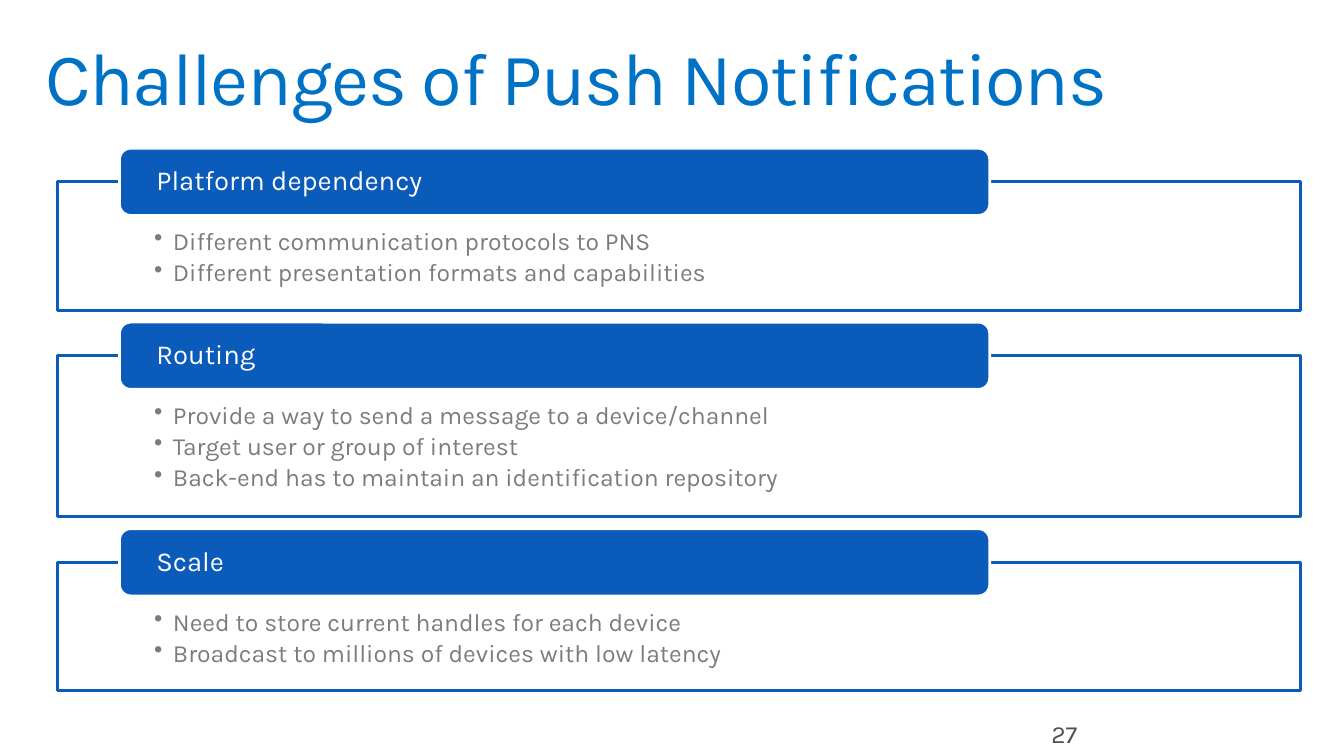
from pptx import Presentation
from pptx.dml.color import RGBColor
from pptx.enum.shapes import MSO_SHAPE
from pptx.enum.text import MSO_ANCHOR, PP_ALIGN
from pptx.oxml.ns import qn
from pptx.util import Inches, Pt
from lxml.etree import SubElement

# Content
TITLE = "Challenges of Push Notifications"
PAGE_NUMBER = "27"
CHALLENGES = [
    ("Platform dependency", [
        "Different communication protocols to PNS",
        "Different presentation formats and capabilities",
    ]),
    ("Routing", [
        "Provide a way to send a message to a device/channel",
        "Target user or group of interest",
        "Back-end has to maintain an identification repository",
    ]),
    ("Scale", [
        "Need to store current handles for each device",
        "Broadcast to millions of devices with low latency",
    ]),
]

# Style
FONT = "Karla"
COLORS = {"title": "0072C6", "accent": "0A5BBA", "white": "FFFFFF",
          "body": "7C7C7C", "number": "505050"}

# Layout in inches
SLIDE_W, SLIDE_H = 13.6, 7.65
FRAME_LEFT, FRAME_W = 0.58, 12.58
FRAME_BASE, POINT_H = 0.64, 0.33   # frame height = base + one row per point
HEADER_W, HEADER_H = 0.7 * FRAME_W, 0.68
HEADER_LEFT = FRAME_LEFT + FRAME_W / 20
HEADER_RISE = HEADER_H / 2         # headers straddle the frame's top edge
FIRST_TOP, GAP = 1.5, 0.12


def color(name):
    return RGBColor.from_string(COLORS[name])


def set_insets(frame, left, top, right, bottom):
    frame.word_wrap = True
    frame.margin_left, frame.margin_top = Inches(left), Inches(top)
    frame.margin_right, frame.margin_bottom = Inches(right), Inches(bottom)


def add_words(paragraph, words, size, color_name, spacing=0.9):
    paragraph.alignment = PP_ALIGN.LEFT
    paragraph.line_spacing = spacing
    run = paragraph.add_run()
    run.text = words
    run.font.name, run.font.size = FONT, Pt(size)
    run.font.color.rgb = color(color_name)
    return run


def add_label(box, insets, words, size, color_name, spacing=0.9):
    label = slide.shapes.add_textbox(*map(Inches, box)).text_frame
    set_insets(label, *insets)
    return add_words(label.paragraphs[0], words, size, color_name, spacing)


def add_panel(preset, box, fill, line, insets, anchor):
    panel = slide.shapes.add_shape(preset, *map(Inches, box))
    panel.shadow.inherit = False
    panel.fill.solid()
    panel.fill.fore_color.rgb = color(fill)
    panel.line.color.rgb = color(line)
    panel.line.width = Pt(2)
    set_insets(panel.text_frame, *insets)
    panel.text_frame.vertical_anchor = anchor
    return panel


def add_bullet(paragraph):
    properties = paragraph._p.get_or_add_pPr()
    properties.set("marL", str(Inches(0.19)))
    properties.set("indent", str(Inches(-0.19)))
    SubElement(properties, qn("a:buChar")).set("char", "•")


prs = Presentation()
prs.slide_width, prs.slide_height = Inches(SLIDE_W), Inches(SLIDE_H)
slide = prs.slides.add_slide(prs.slide_layouts[6])

# Title and page number
title = add_label((0.3, 0.32, 13, 1), (0.16, 0.1, 0.16, 0.1), TITLE, 54, "title")
title._r.get_or_add_rPr().set("spc", "-100")
add_label((10.54, 7.22, 3.06, 0.41), (0.1, 0.05, 0.1, 0.05),
          PAGE_NUMBER, 18, "number", 1.0)

# Challenges: a framed list under a rounded header
header_top = FIRST_TOP
for heading, points in CHALLENGES:
    frame_top = header_top + HEADER_RISE
    frame_h = FRAME_BASE + POINT_H * len(points)

    listing = add_panel(MSO_SHAPE.RECTANGLE, (FRAME_LEFT, frame_top, FRAME_W, frame_h),
                        "white", "accent", (0.98, 0.48, 0.98, 0.14), MSO_ANCHOR.TOP)
    for index, point in enumerate(points):
        text = listing.text_frame
        paragraph = text.add_paragraph() if index else text.paragraphs[0]
        add_bullet(paragraph)
        paragraph.space_after = Pt(3.2)
        add_words(paragraph, point, 18, "body")

    header = add_panel(MSO_SHAPE.ROUNDED_RECTANGLE,
                       (HEADER_LEFT, header_top, HEADER_W, HEADER_H),
                       "accent", "white", (0.34, 0, 0.34, 0), MSO_ANCHOR.MIDDLE)
    add_words(header.text_frame.paragraphs[0], heading, 20, "white")

    header_top = frame_top + frame_h + GAP

prs.save("out.pptx")
